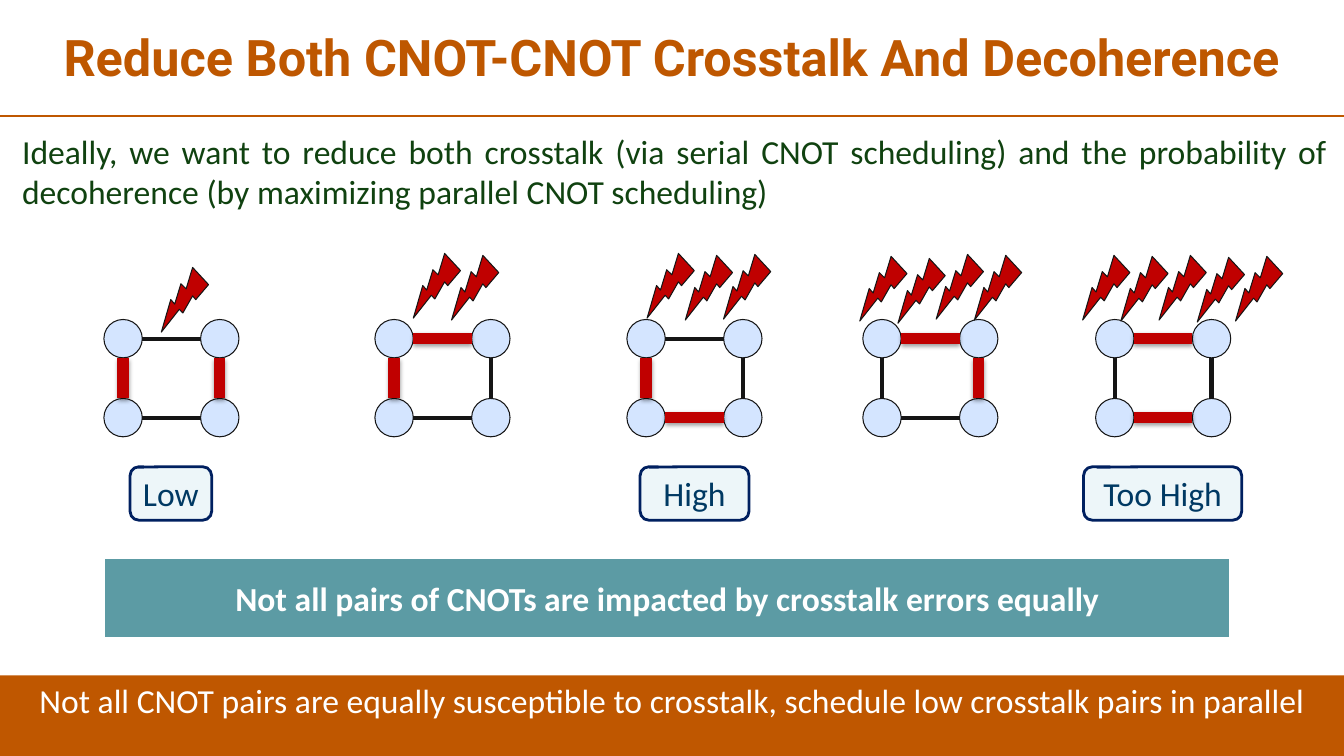
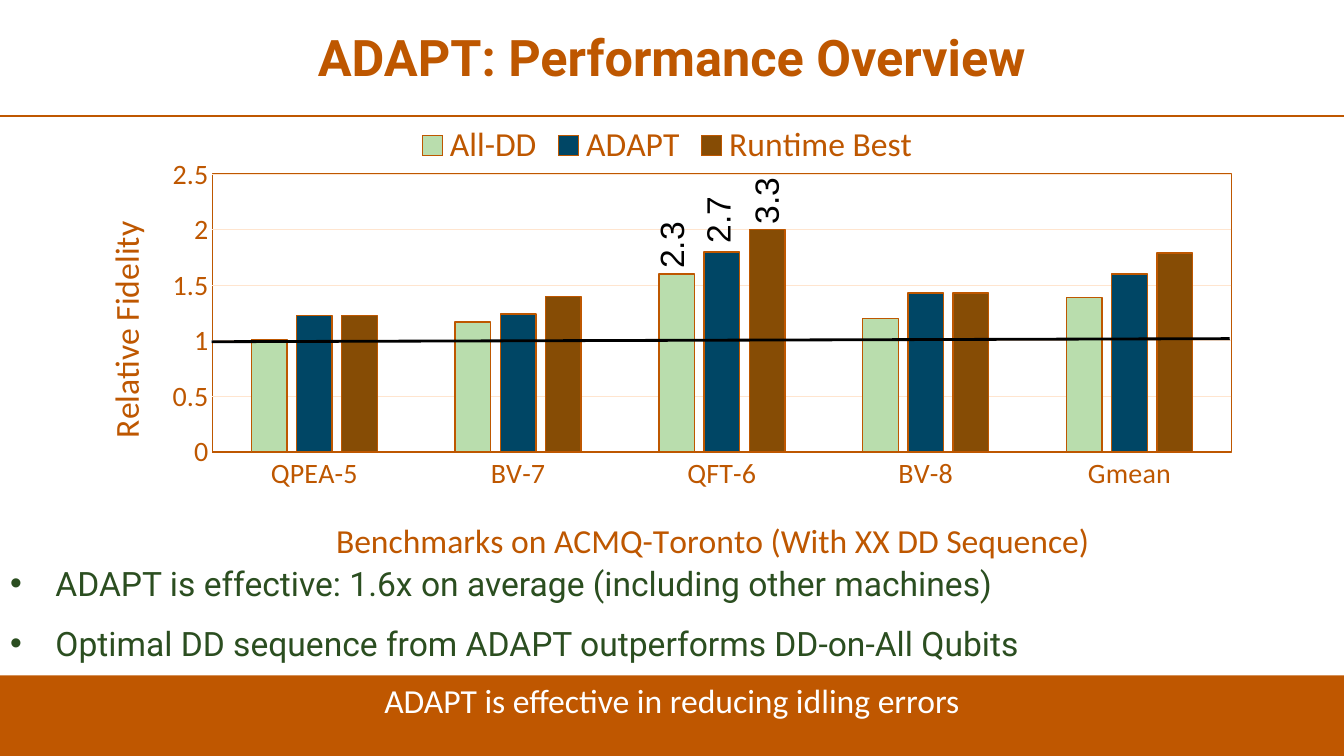
from lxml import etree
from pptx import Presentation
from pptx.chart.data import CategoryChartData
from pptx.dml.color import RGBColor
from pptx.enum.chart import XL_CHART_TYPE, XL_LEGEND_POSITION, XL_TICK_MARK
from pptx.enum.shapes import MSO_CONNECTOR, MSO_SHAPE
from pptx.enum.text import MSO_ANCHOR, MSO_AUTO_SIZE, PP_ALIGN
from pptx.oxml import parse_xml
from pptx.oxml.ns import nsdecls, qn
from pptx.util import Pt

# Enum members
TOP, MIDDLE = MSO_ANCHOR.TOP, MSO_ANCHOR.MIDDLE
LEFT, CENTER, JUSTIFY = PP_ALIGN.LEFT, PP_ALIGN.CENTER, PP_ALIGN.JUSTIFY
RECTANGLE, OVAL = MSO_SHAPE.RECTANGLE, MSO_SHAPE.OVAL
BOLT, CALLOUT = MSO_SHAPE.LIGHTNING_BOLT, MSO_SHAPE.ROUNDED_RECTANGULAR_CALLOUT
STRAIGHT = MSO_CONNECTOR.STRAIGHT
COLUMNS = XL_CHART_TYPE.COLUMN_CLUSTERED
LEGEND_TOP = XL_LEGEND_POSITION.TOP
NO_TICKS = XL_TICK_MARK.NONE

# Colours
WHITE = RGBColor(0xFF, 0xFF, 0xFF)
BLACK = RGBColor(0x00, 0x00, 0x00)
INK = RGBColor(0x15, 0x15, 0x15)
ORANGE = RGBColor(0xBE, 0x57, 0x00)
BAND = RGBColor(0xBF, 0x57, 0x00)
GRID = RGBColor(0xFF, 0xE5, 0xCF)
DEEP_GREEN = RGBColor(0x10, 0x42, 0x10)
LEAF_GREEN = RGBColor(0x2B, 0x4E, 0x20)
QUBIT = RGBColor(0xD4, 0xE5, 0xFF)
RED = RGBColor(0xC0, 0x00, 0x00)
TEAL = RGBColor(0x5C, 0x9B, 0xA4)
PALE = RGBColor(0xED, 0xF6, 0xF9)
NAVY = RGBColor(0x00, 0x20, 0x60)
LABEL_BLUE = RGBColor(0x00, 0x39, 0x63)
MINT = RGBColor(0xB9, 0xDD, 0xAD)
PETROL = RGBColor(0x00, 0x46, 0x65)
BROWN = RGBColor(0x86, 0x4C, 0x05)

# Text formats
TITLE = {"name": "Roboto", "size": Pt(36), "bold": True, "color": ORANGE}
INTRO = {"name": "Calibri", "size": Pt(24), "color": DEEP_GREEN}
BULLET = {"name": "Roboto", "size": Pt(24), "color": LEAF_GREEN}
FOOTER = {"name": "Calibri", "size": Pt(24), "color": WHITE}
MESSAGE = {**FOOTER, "bold": True}
LEVEL = {**FOOTER, "color": LABEL_BLUE}
CHART_TITLE = {**FOOTER, "bold": False, "color": ORANGE}
CHART_TICKS = {**CHART_TITLE, "size": Pt(20)}
BAR_LABEL = {"name": "Arial", "size": Pt(24), "color": BLACK}

# Page and qubit-square geometry, in points
WIDTH, HEIGHT = 960, 540
NODE, COLUMN_STEP, ROW_STEP, SQUARE_TOP = 27.4, 69.1, 56.4, 228.2
BOLT_SIZE, BOLT_STEP = (38.2, 41.8), 27.3

# Left of the square, red edges, left of the first bolt, top of each bolt
SQUARES = [
    (74.2, ("left", "right"), 110.9, (192.2,)),
    (267.8, ("left", "top"), 290.9, (182.2, 183.6)),
    (447.8, ("left", "bottom"), 457.9, (182.2, 183.6, 182.9)),
    (616.3, ("right", "top"), 609.8, (184.3, 185.8, 182.9, 183.6)),
    (782.6, ("bottom", "top"), 769, (183.6, 184.3, 183.6, 185, 184.3)),
]
LEVELS = [("Low", 92.9, 58.3), ("High", 457.2, 77.8), ("Too High", 774, 113)]
SERIES = [
    ("All-DD", (1.01, 1.17, 1.6, 1.2, 1.39), MINT),
    ("ADAPT", (1.23, 1.24, 1.8, 1.43, 1.6), PETROL),
    ("Runtime Best", (1.23, 1.4, 2, 1.43, 1.79), BROWN),
]
CLIPPED_VALUES = [("2.3", 465.1, 151.2), ("2.7", 498.2, 133.2), ("3.3", 532.8, 119.5)]


def points(*values):
    return [Pt(value) for value in values]


def set_font(font, text_format):
    for name, value in text_format.items():
        if name == "color":
            font.color.rgb = value
        else:
            setattr(font, name, value)


def write(frame, lines, text_format, align=CENTER, anchor=MIDDLE, wrap=True, **spacing):
    """Put one paragraph per line into a text frame."""
    frame.word_wrap = wrap
    frame.auto_size = MSO_AUTO_SIZE.NONE
    frame.vertical_anchor = anchor
    for index, line in enumerate(lines):
        para = frame.add_paragraph() if index else frame.paragraphs[0]
        para.alignment = align
        for name, value in spacing.items():
            setattr(para, name, value)
        span = para.add_run()
        span.text = line
        set_font(span.font, text_format)


def add_line(shapes, start, end, color, weight, glow=False):
    """Draw a straight line, with a soft shadow if it glows."""
    line = shapes.add_connector(STRAIGHT, *points(*start, *end))
    line.line.color.rgb = color
    line.line.width = Pt(weight)
    effects = etree.SubElement(line._element.spPr, qn("a:effectLst"))
    if glow:
        effects.append(parse_xml(
            f'<a:outerShdw {nsdecls("a")} blurRad="40000" dist="20000" dir="5400000" '
            'rotWithShape="0"><a:srgbClr val="000000"><a:alpha val="38000"/>'
            '</a:srgbClr></a:outerShdw>'))


def add_box(shapes, kind, area, fill, line=None, weight=0.75):
    box = shapes.add_shape(kind, *points(*area))
    box.shadow.inherit = False
    box.fill.solid()
    box.fill.fore_color.rgb = fill
    if line is None:
        box.line.fill.background()
    else:
        box.line.color.rgb = line
        box.line.width = Pt(weight)
    return box


def move(shape, area):
    for name, value in zip(("left", "top", "width", "height"), points(*area)):
        setattr(shape, name, value)


def add_page(deck, title, footer):
    """Start a slide with the shared title, rule and footer band."""
    page = deck.slides.add_slide(deck.slide_layouts[1])
    heading = page.shapes.title
    move(heading, (6.5, 2.9, 946.8, 79.9))
    write(heading.text_frame, [title], TITLE, line_spacing=0.9)
    add_line(page.shapes, (0, 82.8), (WIDTH, 82.8), BAND, 1.5)
    band = add_box(page.shapes, RECTANGLE, (0, 482.4, WIDTH, 57.6), BAND)
    write(band.text_frame, [footer], FOOTER, anchor=TOP)
    return page


def fill_body(page, area, lines, text_format, align, gap=0, indent=0):
    """Fill the body placeholder; an indent turns its lines into bullets."""
    body = page.placeholders[1]
    move(body, area)
    write(body.text_frame, lines, text_format, align, TOP,
          space_before=Pt(0), space_after=Pt(gap), line_spacing=1.0)
    for para in body.text_frame.paragraphs:
        settings = para._p.get_or_add_pPr()
        settings.set("marL", str(Pt(indent)))
        settings.set("indent", str(-Pt(indent)))
        if indent:
            etree.SubElement(settings, qn("a:buFont"), typeface="Arial")
            etree.SubElement(settings, qn("a:buChar"), char="•")
        else:
            etree.SubElement(settings, qn("a:buNone"))


def add_square(page, left, red_edges):
    """Draw four linked qubits and mark the active links in red."""
    group = page.shapes.add_group_shape()
    right, bottom = left + COLUMN_STEP, SQUARE_TOP + ROW_STEP
    half = NODE / 2
    for y in (SQUARE_TOP, bottom):
        for x in (left, right):
            add_box(group.shapes, OVAL, (x, y, NODE, NODE), QUBIT, INK)
    edges = {}
    for name, y in (("top", SQUARE_TOP), ("bottom", bottom)):
        edges[name] = (left + NODE, y + half), (right, y + half)
    for name, x in (("left", left), ("right", right)):
        edges[name] = (x + half, SQUARE_TOP + NODE), (x + half, bottom)
    for start, end in edges.values():
        add_line(group.shapes, start, end, INK, 3)
    for name in red_edges:
        add_line(page.shapes, *edges[name], RED, 8, glow=True)


def add_bolts(page, left, tops):
    for index, top in enumerate(tops):
        area = (left + index * BOLT_STEP, top, *BOLT_SIZE)
        add_box(page.shapes, BOLT, area, RED, INK).rotation = 73.9


def add_level(page, text, left, width):
    box = add_box(page.shapes, CALLOUT, (left, 333.4, width, 38.2), PALE, NAVY, 2)
    for index, value in enumerate((-0.415, -0.491, 0.167)):
        box.adjustments[index] = value
    write(box.text_frame, [text], LEVEL)


def set_layout(parent, **fractions):
    """Place a chart part by fractions of the chart area."""
    layout = parent.find(qn("c:layout"))
    if layout is None:
        layout = parent.makeelement(qn("c:layout"))
        parent.insert(1 if parent.find(qn("c:tx")) is not None else 0, layout)
    manual = etree.SubElement(layout, qn("c:manualLayout"))
    if "w" in fractions:
        etree.SubElement(manual, qn("c:layoutTarget"), val="inner")
    for name in ("x", "y"):
        etree.SubElement(manual, qn(f"c:{name}Mode"), val="edge")
    for name, value in fractions.items():
        etree.SubElement(manual, qn(f"c:{name}"), val=str(value))


def unfilled(outline):
    return parse_xml(f'<c:spPr {nsdecls("c", "a")}><a:noFill/>{outline}</c:spPr>')


def format_axis(axis, title, x, y):
    axis.major_tick_mark = axis.minor_tick_mark = NO_TICKS
    set_font(axis.tick_labels.font, CHART_TICKS)
    frame = axis.axis_title.text_frame
    span = frame.paragraphs[0].add_run()
    span.text = title
    set_font(span.font, CHART_TITLE)
    set_layout(axis.axis_title._element, x=x, y=y)


def add_fidelity_chart(page):
    data = CategoryChartData()
    data.categories = ["QPEA-5", "BV-7", "QFT-6", "BV-8", "Gmean"]
    for name, values, _ in SERIES:
        data.add_series(name, values)
    area = points(61.2, 79.2, 830.9, 340.6)
    chart = page.shapes.add_chart(COLUMNS, *area, data).chart
    chart.has_title = False
    set_font(chart.font, {**CHART_TITLE, "size": Pt(10)})

    # Legend and bars
    chart.has_legend = True
    chart.legend.position = LEGEND_TOP
    chart.legend.include_in_layout = False
    set_font(chart.legend.font, CHART_TITLE)
    plot = chart.plots[0]
    plot.gap_width, plot.overlap, plot.vary_by_categories = 219, -27, False
    for series, (_, _, color) in zip(plot.series, SERIES):
        series.format.fill.solid()
        series.format.fill.fore_color.rgb = color
        series.format.line.color.rgb = ORANGE
        series.format.line.width = Pt(1)

    # Axes
    format_axis(chart.category_axis, "Benchmarks on ACMQ-Toronto (With XX DD Sequence)", 0.21, 0.84)
    chart.category_axis.format.line.color.rgb = ORANGE
    chart.category_axis.format.line.width = Pt(1.25)
    scale = chart.value_axis
    format_axis(scale, "Relative Fidelity", 0.01, 0.22)
    scale.minimum_scale, scale.maximum_scale, scale.major_unit = 0, 2.5, 0.5
    scale.format.line.fill.background()
    scale.major_gridlines.format.line.color.rgb = GRID
    scale.major_gridlines.format.line.width = Pt(0.75)

    # Plot frame and clear background
    plot_area = chart._chartSpace.chart.plotArea
    set_layout(plot_area, x=0.109, y=0.133, w=0.876, h=0.582)
    plot_area.append(unfilled(
        f'<a:ln w="{Pt(1.25)}"><a:solidFill><a:srgbClr val="{ORANGE}"/></a:solidFill></a:ln>'))
    chart._chartSpace.chart.addnext(unfilled("<a:ln><a:noFill/></a:ln>"))


def add_bar_label(page, text, left, top):
    box = page.shapes.add_textbox(*points(left, top, 43.9, 51.8))
    box.rotation = 270
    write(box.text_frame, [text], BAR_LABEL, LEFT, TOP, wrap=False)


def build_crosstalk_page(deck):
    page = add_page(deck, "Reduce Both CNOT-CNOT Crosstalk And Decoherence",
                    "Not all CNOT pairs are equally susceptible to crosstalk, "
                    "schedule low crosstalk pairs in parallel")
    fill_body(page, (8.6, 90, 946.8, 65.5),
              ["Ideally, we want to reduce both crosstalk (via serial CNOT scheduling) and the "
               "probability of decoherence (by maximizing parallel CNOT scheduling)"],
              INTRO, JUSTIFY)
    for left, red_edges, bolt_left, bolt_tops in SQUARES:
        add_square(page, left, red_edges)
        add_bolts(page, bolt_left, bolt_tops)
    for level in LEVELS:
        add_level(page, *level)
    message = add_box(page.shapes, RECTANGLE, (74.2, 398.2, 805, 57.6), TEAL, WHITE, 2)
    write(message.text_frame,
          ["Not all pairs of CNOTs are impacted by crosstalk errors equally"], MESSAGE)


def build_performance_page(deck):
    page = add_page(deck, "ADAPT: Performance Overview",
                    "ADAPT is effective in reducing idling errors")
    fill_body(page, (0, 398.2, 949, 80),
              ["ADAPT is effective: 1.6x on average (including other machines)",
               "Optimal DD sequence from ADAPT outperforms DD-on-All Qubits"],
              BULLET, LEFT, gap=14, indent=32.4)
    add_fidelity_chart(page)
    add_line(page.shapes, (151.2, 244.1), (878.4, 241.9), BLACK, 2)
    for label in CLIPPED_VALUES:
        add_bar_label(page, *label)


def main():
    deck = Presentation()
    deck.slide_width, deck.slide_height = points(WIDTH, HEIGHT)
    build_crosstalk_page(deck)
    build_performance_page(deck)
    deck.save("out.pptx")


if __name__ == "__main__":
    main()
